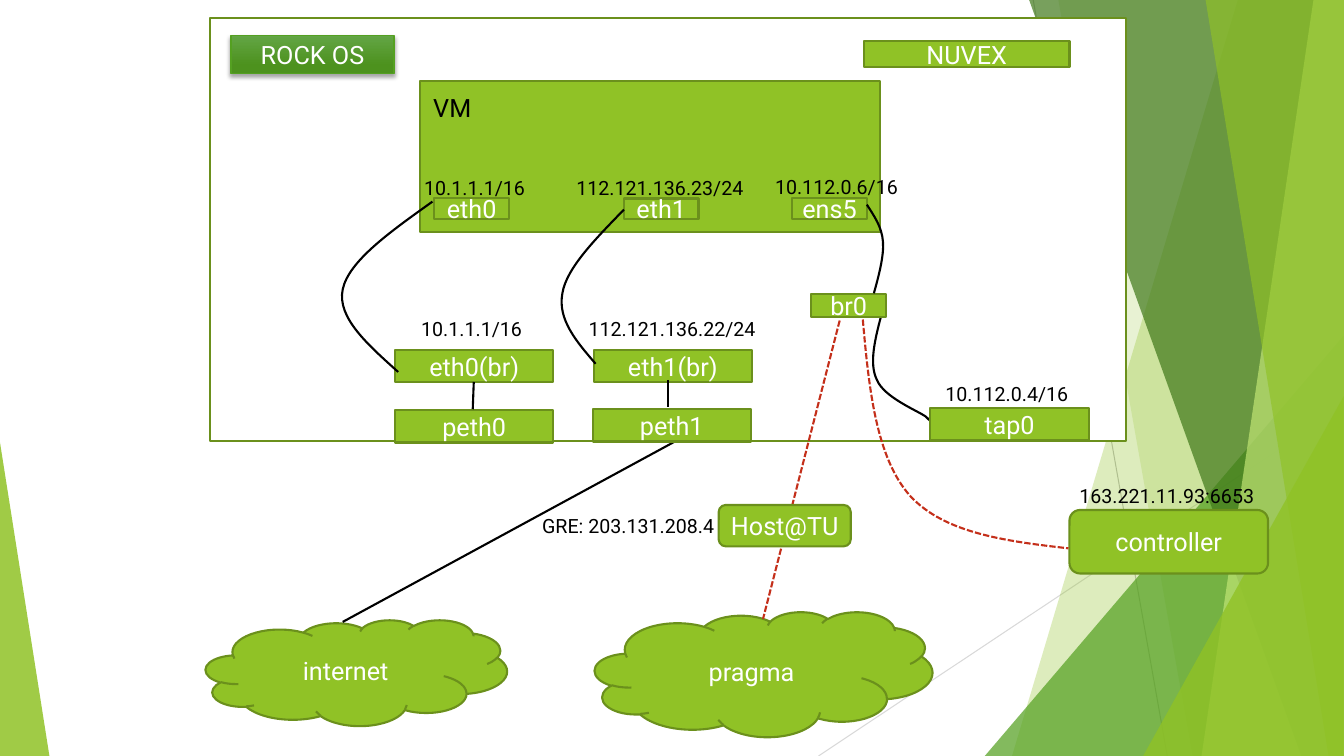
from dataclasses import dataclass
from typing import Optional, Union

from lxml.etree import SubElement
from pptx import Presentation
from pptx.dml.color import RGBColor
from pptx.enum.dml import MSO_LINE
from pptx.enum.shapes import MSO_CONNECTOR as Connector, MSO_SHAPE as Preset
from pptx.enum.text import MSO_ANCHOR as Anchor, MSO_AUTO_SIZE as AutoSize, PP_ALIGN as Align
from pptx.oxml.ns import qn
from pptx.util import Emu, Inches, Pt

# The grid has square cells of a tenth of an inch.
CELL = Inches(0.1)
COLUMNS, ROWS = 133.33, 75
Point = tuple[float, float]


@dataclass(frozen=True)
class Theme:
    font: str = "Roboto"
    label: int = 18
    address: int = 14
    stroke: float = 1.5
    hairline: float = 0.75
    green: str = "90C226"
    edge: str = "6B901C"
    leaf: str = "54A021"
    forest: str = "3F7819"
    lime: str = "C0E474"
    badge_top: str = "63A545"
    badge_bottom: str = "4D921E"
    tunnel: str = "C42F1A"
    black: str = "000000"
    white: str = "FFFFFF"
    grey: str = "BFBFBF"
    pale: str = "D9D9D9"


THEME = Theme()


@dataclass(frozen=True)
class Facet:
    """Background panel that reaches from a slanted left edge to the right of the slide."""
    top: float
    bottom: float
    color: str
    opacity: int


@dataclass(frozen=True)
class Corner:
    """Right-angled triangle; apex is 0 at its left and 1 at its right."""
    left: float
    top: float
    width: float
    apex: int
    color: str
    opacity: int


@dataclass(frozen=True)
class Box:
    text: str
    left: float
    top: float
    width: float
    height: float
    preset: Preset = Preset.RECTANGLE
    fill: str = THEME.green
    badge: bool = False


@dataclass(frozen=True)
class Label:
    text: str
    left: float
    top: float
    width: float
    height: float = 3.4
    size: int = THEME.address
    wrap: bool = False


@dataclass(frozen=True)
class Wire:
    """Straight for two points, otherwise a chain of cubic curves."""
    points: tuple[Point, ...]
    color: str = THEME.black
    width: float = THEME.stroke
    dashed: bool = False


Item = Union[Facet, Corner, Box, Label, Wire]


def bridge(text: str, left: float, top: float) -> Box:
    return Box(text, left, top, 15.7, 3.2)


def port(text: str, left: float, top: float = 19.6, height: float = 2.1) -> Box:
    return Box(text, left, top, 7.4, height)


def tunnel(*points: Point) -> Wire:
    return Wire(points, THEME.tunnel, dashed=True)


BACKDROP: list[Item] = [
    Wire(((102.5, 0), (115.8, ROWS)), THEME.grey, THEME.hairline),
    Wire(((COLUMNS, 40.3), (81.2, ROWS)), THEME.pale, THEME.hairline),
    Facet(122.8, 100.4, THEME.green, 30),
    Facet(105, 118.3, THEME.green, 20),
    Corner(97.7, 33.3, 35.6, 1, THEME.leaf, 72),
    Facet(102.1, 129.1, THEME.forest, 70),
    Facet(130.3, 119.2, THEME.lime, 70),
    Facet(119.6, 131.8, THEME.green, 65),
    Corner(113.4, 39.3, 19.9, 1, THEME.green, 80),
    Corner(0, 43.9, 4.9, 0, THEME.green, 85),
]
HOST: list[Item] = [
    Box("internet", 20.4, 61.5, 29.9, 10.5, Preset.CLOUD),
    Wire(((68.8, 42.8), (34, 61.7))),
    Box("", 20.8, 1.8, 90.9, 42, fill=THEME.white),
    Box("ROCK OS", 22.9, 3.5, 16.2, 3.8, badge=True),
    Box("NUVEX", 85.7, 4.1, 20.4, 2.6),
    bridge("eth1(br)", 58.9, 34.7),
    Label("10.1.1.1/16", 40.8, 30.9, 12.5),
    Label("112.121.136.22/24", 57.4, 30.9, 18.7),
    bridge("eth0(br)", 39.2, 34.7),
    bridge("peth0", 39.2, 40.7),
    bridge("peth1", 58.8, 40.6),
    Wire(((47, 37.9), (46.9, 40.6))),
    Wire(((66.3, 37.7), (66.3, 40.4))),
]
MACHINE: list[Item] = [
    Box("", 41.7, 8, 45.6, 15),
    Label("VM", 42, 8.7, 9.7, 2.6, THEME.label, wrap=True),
    port("eth0", 43.1),
    port("eth1", 61.9, 19.7, 2),
    Label("10.1.1.1/16", 41.1, 17, 12.5, 2.1),
    Label("112.121.136.23/24", 56.2, 17, 18.7, 2.1),
    Wire(((42.9, 20), (38.7, 23), (34.6, 25.9), (34, 28.7),
          (33.4, 31.5), (36.5, 34.2), (39.5, 36.9))),
    Wire(((61.9, 20.8), (59.1, 23.7), (56.2, 26.6), (55.8, 29.1),
          (55.3, 31.7), (57.2, 33.9), (59.1, 36.1))),
]
SWITCH: list[Item] = [
    Label("10.112.0.4/16", 92.8, 37.4, 14.5),
    Wire(((87.4, 31.4), (86.8, 33.7), (86.2, 36.1), (87, 37.7), (87.7, 39.4),
          (90.9, 40.7), (91.8, 41.3), (92.6, 42), (92.2, 41.7), (91.9, 41.4))),
    port("ens5", 78.6),
    Label("10.112.0.6/16", 75.9, 16.9, 14.5, 2.1),
    port("br0", 80.5, 29.2, 2.3),
    bridge("tap0", 92.3, 40.5),
    Wire(((86, 20.3), (86.7, 21.4), (87.5, 22.5), (87.6, 24),
          (87.7, 25.4), (87.2, 27.3), (86.7, 29.1))),
]
REMOTE: list[Item] = [
    Box("pragma", 59, 60.7, 33.5, 12.4, Preset.CLOUD),
    Box("controller", 106.1, 50.6, 19.7, 6.3, Preset.ROUNDED_RECTANGLE),
    tunnel((85.6, 31.7), (86.2, 38.5), (86.9, 45.4), (90.3, 49.2),
           (93.7, 52.9), (99.8, 53.7), (106, 54.4)),
    Label("163.221.11.93:6653", 106.1, 47.5, 19.4),
    tunnel((83.3, 31.8), (75.7, 61.4)),
    Box("Host@TU", 71.3, 50.1, 13.1, 4.1, Preset.ROUNDED_RECTANGLE),
    Label("GRE: 203.131.208.4", 52.8, 50.5, 19.4),
]


def cells(*lengths: float) -> list[Emu]:
    return [Emu(round(length * CELL)) for length in lengths]


def rgb(color: str) -> RGBColor:
    return RGBColor.from_string(color)


def write(frame, text: str, *, size: int, color: str, align: Optional[Align] = None) -> None:
    para = frame.paragraphs[0]
    para.alignment = align
    span = para.add_run()
    span.text = text
    span.font.name, span.font.size = THEME.font, Pt(size)
    span.font.color.rgb = rgb(color)


def paint(shape, color: str, opacity: int = 100) -> None:
    shape.shadow.inherit = False
    shape.fill.solid()
    shape.fill.fore_color.rgb = rgb(color)
    if opacity < 100:
        tint = shape._element.spPr.find(f"{qn('a:solidFill')}/{qn('a:srgbClr')}")
        SubElement(tint, qn("a:alpha"), val=str(opacity * 1000))


def outline(shape, color: str, width: float) -> None:
    shape.line.color.rgb = rgb(color)
    shape.line.width = Pt(width)


def polish_badge(shape) -> None:
    """Give the badge its vertical gradient, thin edge and soft shadow."""
    shape.fill.gradient()
    shape.fill.gradient_angle = 270
    colors = ((0, THEME.badge_top), (0.78, THEME.badge_bottom))
    for stop, (position, color) in zip(shape.fill.gradient_stops, colors):
        stop.position, stop.color.rgb = position, rgb(color)
    outline(shape, THEME.leaf, 1)
    effects = shape._element.spPr.find(qn("a:effectLst"))
    shadow = SubElement(effects, qn("a:outerShdw"), blurRad=str(Pt(3)), dist=str(Pt(2)),
                        dir="5400000", rotWithShape="0")
    tint = SubElement(shadow, qn("a:srgbClr"), val=THEME.black)
    SubElement(tint, qn("a:alpha"), val="35000")


def freeform(page, points: tuple[Point, ...], close: bool):
    start, *rest = [cells(*point) for point in points]
    builder = page.shapes.build_freeform(*start)
    builder.add_line_segments(rest, close=close)
    return builder.convert_to_shape()


def curve(page, points: tuple[Point, ...]):
    """Draw the points as cubic curves: two handles and an end for each."""
    shape = freeform(page, points, close=False)
    segments = list(shape._element.iter(qn("a:lnTo")))
    for first in range(0, len(segments), 3):
        bend = SubElement(segments[first].getparent(), qn("a:cubicBezTo"))
        for segment in segments[first:first + 3]:
            bend.append(segment[0])
            segment.getparent().remove(segment)
    shape.shadow.inherit = False
    shape.fill.background()
    return shape


def straight(page, points: tuple[Point, ...]):
    start, end = points
    line = page.shapes.add_connector(Connector.STRAIGHT, *cells(*start, *end))
    line.line.width = Pt(THEME.stroke)
    SubElement(line._element.spPr, qn("a:effectLst"))
    return line


def draw(page, item: Item) -> None:
    match item:
        case Facet(top, bottom, color, opacity):
            corners = ((top, 0), (COLUMNS, 0), (COLUMNS, ROWS), (bottom, ROWS))
            shape = freeform(page, corners, close=True)
            paint(shape, color, opacity)
            shape.line.fill.background()
        case Corner(left, top, width, apex, color, opacity):
            shape = page.shapes.add_shape(Preset.ISOSCELES_TRIANGLE,
                                          *cells(left, top, width, ROWS - top))
            shape.adjustments[0] = apex
            paint(shape, color, opacity)
            shape.line.fill.background()
        case Box(text, left, top, width, height, preset, fill, badge):
            shape = page.shapes.add_shape(preset, *cells(left, top, width, height))
            paint(shape, fill)
            outline(shape, THEME.edge, THEME.stroke)
            if badge:
                polish_badge(shape)
            if text:
                shape.text_frame.vertical_anchor = Anchor.MIDDLE
                write(shape.text_frame, text, size=THEME.label, color=THEME.white,
                      align=Align.CENTER)
        case Label(text, left, top, width, height, size, wrap):
            frame = page.shapes.add_textbox(*cells(left, top, width, height)).text_frame
            frame.word_wrap, frame.auto_size = wrap, AutoSize.SHAPE_TO_FIT_TEXT
            write(frame, text, size=size, color=THEME.black)
        case Wire(points, color, width, dashed):
            line = (straight if len(points) == 2 else curve)(page, points)
            outline(line, color, width)
            if dashed:
                line.line.dash_style = MSO_LINE.SQUARE_DOT


def main() -> None:
    deck = Presentation()
    deck.slide_width, deck.slide_height = cells(COLUMNS, ROWS)
    page = deck.slides.add_slide(deck.slide_layouts[6])
    for item in BACKDROP + HOST + MACHINE + SWITCH + REMOTE:
        draw(page, item)
    deck.save("out.pptx")


if __name__ == "__main__":
    main()
